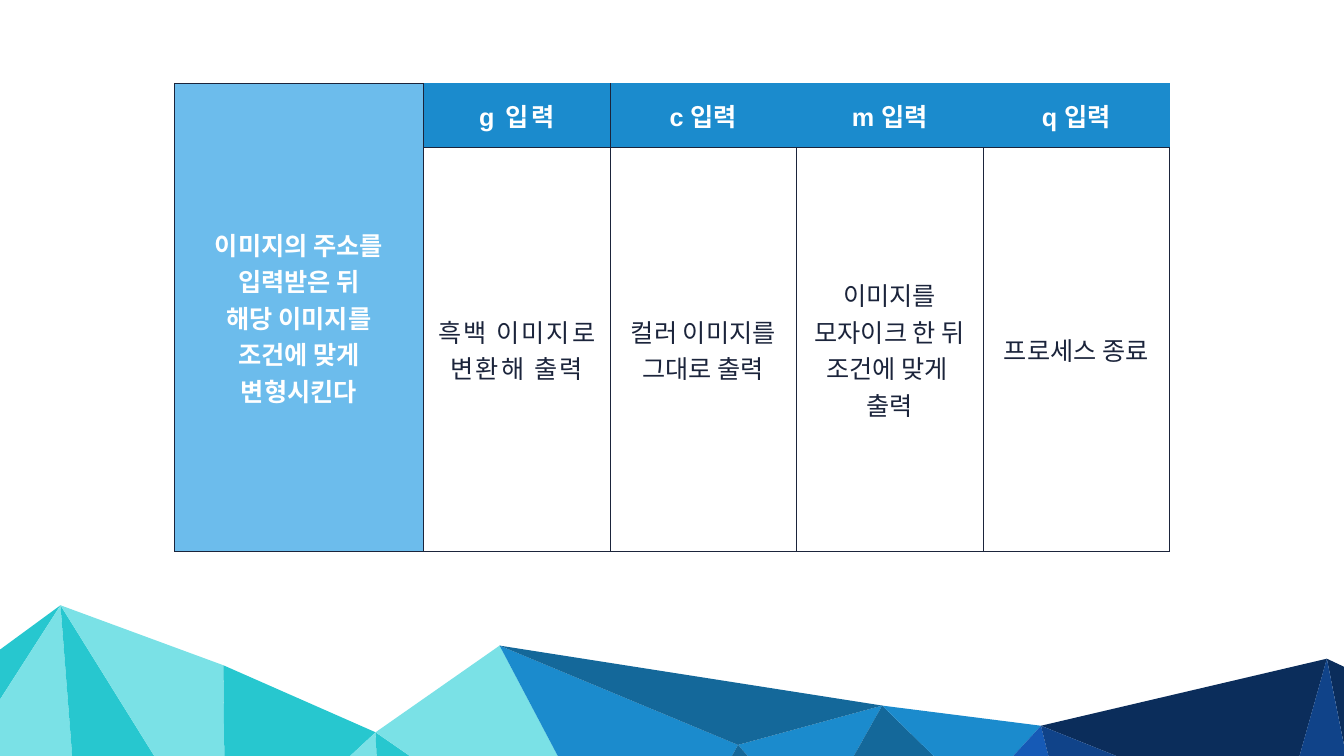
import pptx
import pptx.dml.color
import pptx.enum.text
import pptx.util
from lxml import etree
from pptx.oxml.ns import qn

COLUMNS, ROWS = 2666, 1500
COLOURS = {
    "ink": "1B243B", "white": "FFFFFF", "sky": "6CBCEC", "blue": "1B8BCD",
    "steel": "14689A", "teal": "27C7CF", "aqua": "7AE1E6",
    "royal": "165AB6", "cobalt": "104389", "navy": "0B2D5B",
}
POINTS = {
    "left edge": (0, 1289), "left fold": (0, 1388), "left base": (0, 1664),
    "teal peak": (120, 1201), "base 1": (156, 1664), "base 2": (408, 1664),
    "ridge": (443, 1320), "base 3": (447, 1664), "base 4": (518, 1664),
    "teal valley": (745, 1453), "base 5": (754, 1664), "base 6": (1050, 1664),
    "blue peak": (991, 1281), "base 7": (1194, 1666), "base 8": (1361, 1667),
    "blue fold": (1464, 1478), "base 9": (1571, 1668), "steel base": (1611, 1647),
    "blue crest": (1750, 1400), "blue foot": (1935, 1581), "base 10": (2028, 1671),
    "navy valley": (2065, 1440), "base 11": (2122, 1671), "base 12": (2441, 1671),
    "navy foot": (2541, 1631), "base 13": (2600, 1671), "navy peak": (2632, 1307),
    "right edge": (2681, 1330), "right fold": (2681, 1554), "right base": (2681, 1671),
}
FACETS = [
    ("teal", ["teal peak", "left edge", "left fold"]),
    ("aqua", ["base 1", "teal peak", "left fold", "left base"]),
    ("teal", ["base 2", "teal peak", "base 1"]),
    ("aqua", ["base 3", "ridge", "teal peak", "base 2"]),
    ("teal", ["base 4", "teal valley", "ridge", "base 3"]),
    ("aqua", ["base 5", "teal valley", "base 4"]),
    ("teal", ["base 6", "teal valley", "base 5"]),
    ("aqua", ["base 7", "blue peak", "teal valley", "base 6"]),
    ("blue", ["base 8", "blue fold", "blue peak", "base 7"]),
    ("blue", ["blue fold", "steel base", "blue crest"]),
    ("steel", ["steel base", "blue foot", "blue crest"]),
    ("blue", ["blue crest", "blue foot", "navy valley"]),
    ("royal", ["base 11", "navy valley", "blue foot", "base 10"]),
    ("navy", ["navy valley", "navy foot", "navy peak"]),
    ("cobalt", ["base 12", "navy foot", "navy valley", "base 11"]),
    ("navy", ["right edge", "navy peak", "right fold"]),
    ("cobalt", ["right base", "right fold", "navy peak", "navy foot", "base 13"]),
    ("steel", ["blue peak", "blue crest", "blue fold"]),
    ("steel", ["base 9", "steel base", "blue fold", "base 8"]),
]
CONDITION = ["이미지의 주소를", "입력받은 뒤", "해당 이미지를", "조건에 맞게", "변형시킨다"]
COMMANDS = [
    ("g 입력", ["흑백 이미지로", "변환해 출력"], "Quicksand", 3),
    ("c 입력", ["컬러 이미지를", "그대로 출력"], "Arial", 0),
    ("m 입력", ["이미지를", "모자이크 한 뒤", "조건에 맞게 ", "출력"], "Arial", 0),
    ("q 입력", ["프로세스 종료"], "Arial", 0),
]


class SlidePainter:
    """Draws facets and table cells on one slide, measured in grid columns and rows."""

    def __init__(self, deck):
        self.column = deck.slide_width / COLUMNS
        self.row = deck.slide_height / ROWS
        self.page = deck.slides.add_slide(deck.slide_layouts[6])

    def across(self, columns):
        return round(columns * self.column)

    def down(self, rows):
        return round(rows * self.row)

    def colour(self, name):
        return pptx.dml.color.RGBColor.from_string(COLOURS[name])

    def facet(self, colour, corners):
        outline = [(self.across(x), self.down(y)) for x, y in corners]
        builder = self.page.shapes.build_freeform(*outline[0], scale=1.0)
        builder.add_line_segments(outline[1:], close=True)
        shape = builder.convert_to_shape()
        shape.shadow.inherit = False
        shape.fill.solid()
        shape.fill.fore_color.rgb = self.colour(colour)
        shape.line.fill.background()

    def table(self, left, top, widths, heights):
        frame = self.page.shapes.add_table(
            len(heights), len(widths), self.across(left), self.down(top),
            self.across(sum(widths)), self.down(sum(heights)))
        grid = frame.table
        grid.first_row = grid.horz_banding = False
        for column, width in zip(grid.columns, widths):
            column.width = self.across(width)
        for row, height in zip(grid.rows, heights):
            row.height = self.down(height)
        return grid

    def cell_style(self, cell, fill=None, **borders):
        properties = cell._tc.get_or_add_tcPr()
        for side in "LRTB":
            colour, points = borders.get(side, ("ink", 1))
            line = etree.SubElement(properties, qn(f"a:ln{side}"), w=str(pptx.util.Pt(points)))
            solid = etree.SubElement(line, qn("a:solidFill"))
            etree.SubElement(solid, qn("a:srgbClr"), val=COLOURS[colour])
        if fill:
            cell.fill.solid()
            cell.fill.fore_color.rgb = self.colour(fill)
        else:
            cell.fill.background()

    def cell_text(self, cell, lines, font, colour, bold=False, spacing=0):
        cell.vertical_anchor = pptx.enum.text.MSO_ANCHOR.MIDDLE
        box = cell.text_frame
        for index, line in enumerate(lines):
            para = box.add_paragraph() if index else box.paragraphs[0]
            para.alignment = pptx.enum.text.PP_ALIGN.CENTER
            span = para.add_run()
            span.text = line
            span.font.name = font
            span.font.size = pptx.util.Pt(36)
            span.font.bold = bold
            span.font.color.rgb = self.colour(colour)
            span.font._element.set("spc", str(spacing * 100))


def main():
    deck = pptx.Presentation()
    deck.slide_width = pptx.util.Inches(26.66)
    deck.slide_height = pptx.util.Inches(15)
    painter = SlidePainter(deck)

    for colour, corners in FACETS:
        painter.facet(colour, [POINTS[corner] for corner in corners])

    grid = painter.table(346, 165, [494] + [370] * len(COMMANDS), [128, 801])
    grid.cell(0, 0).merge(grid.cell(1, 0))
    for row in range(2):
        painter.cell_style(grid.cell(row, 0), "sky")
    painter.cell_text(grid.cell(0, 0), CONDITION, "Lato", "white", bold=True)

    thin, dark = ("blue", 0.5), ("ink", 1)
    for column, (command, result, font, spacing) in enumerate(COMMANDS, 1):
        header, body = grid.cell(0, column), grid.cell(1, column)
        painter.cell_style(header, "blue", T=thin,
                           L=dark if column <= 2 else thin,
                           R=dark if column == 1 else thin)
        painter.cell_text(header, [command], "Arial", "white", bold=True, spacing=spacing)
        painter.cell_style(body)
        painter.cell_text(body, result, font, "ink", spacing=spacing)

    deck.save("out.pptx")


if __name__ == "__main__":
    main()
